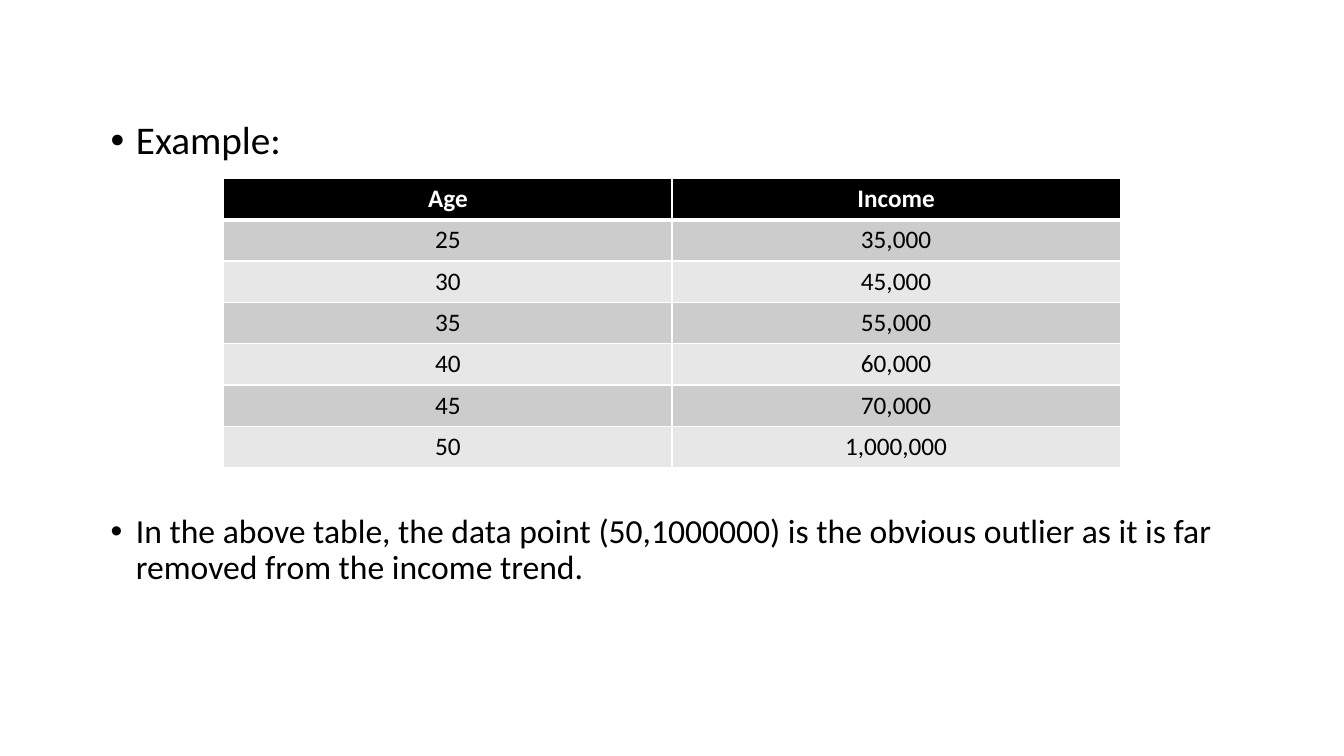
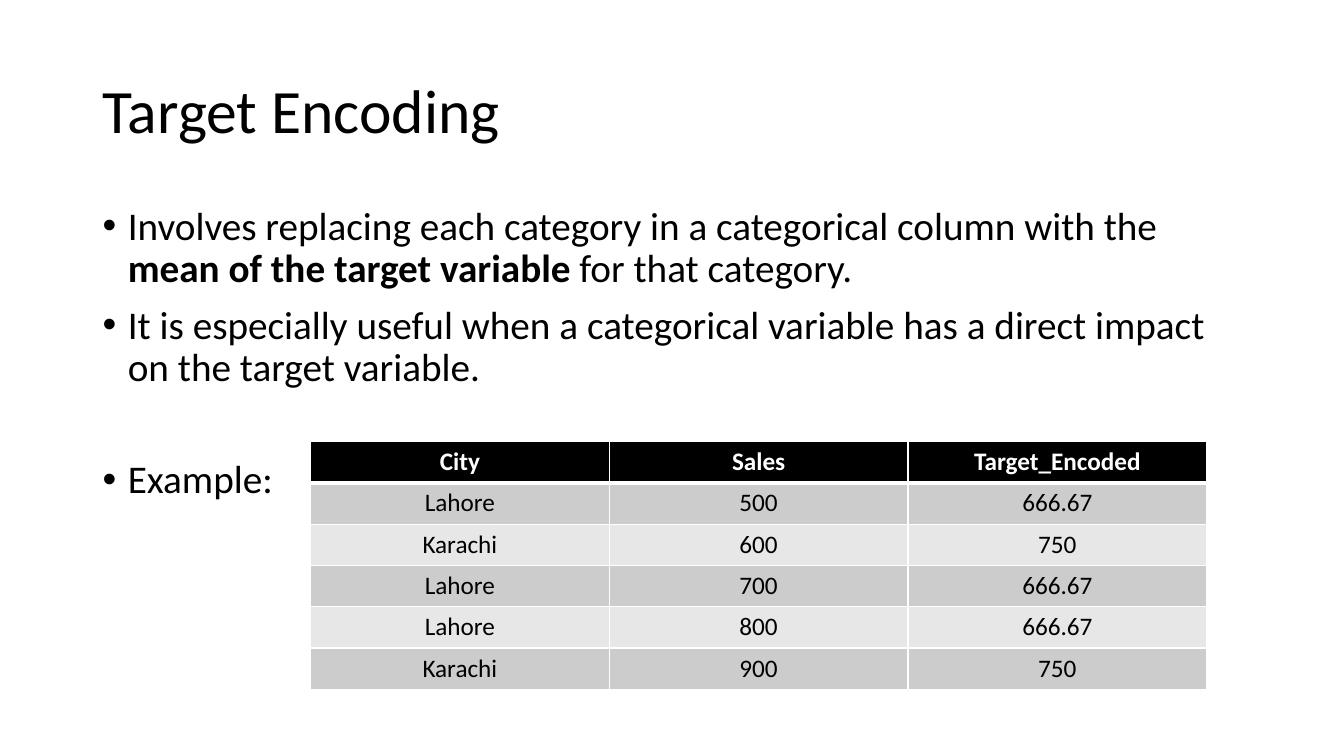
from lxml.etree import SubElement
from pptx import Presentation
from pptx.dml.color import RGBColor
from pptx.enum.text import MSO_ANCHOR, PP_ALIGN
from pptx.oxml.ns import qn
from pptx.util import Inches, Pt

COLORS = {
    "text": "000000",
    "header": "000000",
    "header_text": "FFFFFF",
    "border": "FFFFFF",
    "odd_row": "CCCCCC",
    "even_row": "E7E7E7",
}
FONT = "Calibri"
TABLE_WIDTH = 8.89
ROW_HEIGHT = 0.41


class Deck:
    def __init__(self):
        self.presentation = Presentation()
        self.presentation.slide_width = Inches(13.33)
        self.presentation.slide_height = Inches(7.5)
        self.slide = None

    def new_slide(self):
        layout = self.presentation.slide_layouts[6]
        self.slide = self.presentation.slides.add_slide(layout)

    def style_runs(self, paragraph, size, color="text"):
        for run in paragraph.runs:
            run.font.name = FONT
            run.font.size = Pt(size)
            run.font.color.rgb = RGBColor.from_string(COLORS[color])

    def text_frame(self, left, top, width, height):
        box = self.slide.shapes.add_textbox(
            Inches(left), Inches(top), Inches(width), Inches(height))
        box.text_frame.word_wrap = True
        return box.text_frame

    def title(self, text):
        frame = self.text_frame(0.92, 0.4, 11.5, 1.45)
        frame.vertical_anchor = MSO_ANCHOR.MIDDLE
        frame.text = text
        frame.paragraphs[0].line_spacing = 0.9
        self.style_runs(frame.paragraphs[0], 44)

    def bullets(self, left, top, width, height, items):
        """Add bullets given as (runs, size, space before); odd runs are bold."""
        frame = self.text_frame(left, top, width, height)
        for index, (texts, size, space_before) in enumerate(items):
            paragraph = frame.add_paragraph() if index else frame.paragraphs[0]
            for position, text in enumerate(texts):
                run = paragraph.add_run()
                run.text = text
                run.font.bold = position % 2 == 1
            self.style_runs(paragraph, size)
            paragraph.line_spacing = 0.9
            paragraph.space_before = Pt(space_before)
            properties = paragraph._p.get_or_add_pPr()
            properties.set("marL", str(Inches(0.25)))
            properties.set("indent", str(-Inches(0.25)))
            SubElement(properties, qn("a:buFont"), typeface="Arial")
            SubElement(properties, qn("a:buChar"), char="•")

    def cell_borders(self, cell, top, bottom):
        """Draw the four borders; side borders are 1 point wide."""
        properties = cell._tc.get_or_add_tcPr()
        widths = {"a:lnL": 1, "a:lnR": 1, "a:lnT": top, "a:lnB": bottom}
        for index, (tag, width) in enumerate(widths.items()):
            line = properties.makeelement(qn(tag), {"w": str(Pt(width))})
            properties.insert(index, line)
            fill = SubElement(line, qn("a:solidFill"))
            SubElement(fill, qn("a:srgbClr"), val=COLORS["border"])

    def table(self, left, top, rows):
        column_count = len(rows[0])
        table = self.slide.shapes.add_table(
            len(rows), column_count, Inches(left), Inches(top),
            Inches(TABLE_WIDTH), Inches(ROW_HEIGHT * len(rows))).table
        for row_index, values in enumerate(rows):
            is_header = row_index == 0
            band = "odd_row" if row_index % 2 else "even_row"
            for column_index, value in enumerate(values):
                cell = table.cell(row_index, column_index)
                cell.text_frame.text = value
                paragraph = cell.text_frame.paragraphs[0]
                paragraph.alignment = PP_ALIGN.CENTER
                self.style_runs(paragraph, 18, "header_text" if is_header else "text")
                paragraph.runs[0].font.bold = is_header
                cell.fill.solid()
                cell.fill.fore_color.rgb = RGBColor.from_string(
                    COLORS["header" if is_header else band])
                self.cell_borders(cell, top=3 if row_index == 1 else 1,
                                  bottom=3 if is_header else 1)


def outlier_slide(deck):
    deck.new_slide()
    deck.bullets(1, 1.15, 11.33, 5.18, [
        (["Example:"], 28, 10),
        (["In the above table, the data point (50,1000000) is the obvious "
          "outlier as it is far removed from the income trend."], 24, 251),
    ])
    deck.table(2.22, 1.77, [
        ("Age", "Income"),
        ("25", "35,000"),
        ("30", "45,000"),
        ("35", "55,000"),
        ("40", "60,000"),
        ("45", "70,000"),
        ("50", "1,000,000"),
    ])


def target_encoding_slide(deck):
    deck.new_slide()
    deck.title("Target Encoding")
    deck.bullets(0.92, 2, 11.5, 4.76, [
        (["Involves replacing each category in a categorical column with the ",
          "mean of the target variable ", "for that category."], 28, 10),
        (["It is especially useful when a categorical variable has a direct "
          "impact on the target variable."], 28, 10),
        (["Example:"], 28, 50),
    ])
    deck.table(3.08, 4.38, [
        ("City", "Sales", "Target_Encoded"),
        ("Lahore", "500", "666.67"),
        ("Karachi", "600", "750"),
        ("Lahore", "700", "666.67"),
        ("Lahore", "800", "666.67"),
        ("Karachi", "900", "750"),
    ])


def main():
    deck = Deck()
    outlier_slide(deck)
    target_encoding_slide(deck)
    deck.presentation.save("out.pptx")


if __name__ == "__main__":
    main()
